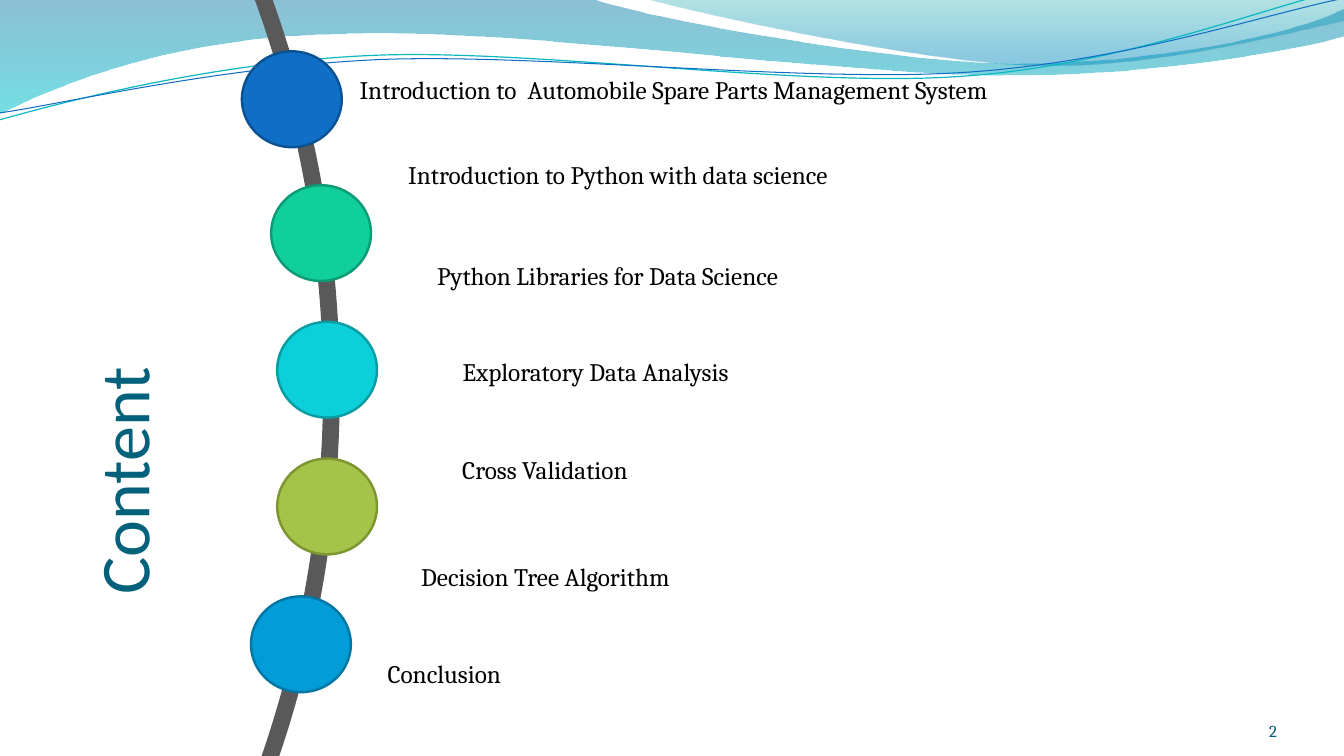
"""Build the content slide: a wave header and a timeline arc with topics."""
import pptx
import pptx.dml.color
import pptx.enum.shapes
import pptx.enum.text
import pptx.oxml
import pptx.oxml.ns
import pptx.util

Pt = pptx.util.Pt
qn = pptx.oxml.ns.qn
OVAL = pptx.enum.shapes.MSO_SHAPE.OVAL
ALIGN = pptx.enum.text.PP_ALIGN
ANCHOR = pptx.enum.text.MSO_ANCHOR
AUTO_SIZE = pptx.enum.text.MSO_AUTO_SIZE
NAMESPACE = pptx.oxml.ns.nsdecls("a")


def set_color(color_format, hex_color):
    color_format.rgb = pptx.dml.color.RGBColor.from_string(hex_color)


def add_outline(slide, start, segments, close):
    builder = slide.shapes.build_freeform(Pt(start[0]), Pt(start[1]))
    vertices = [(Pt(x), Pt(y)) for segment in segments for x, y in segment]
    builder.add_line_segments(vertices, close=close)
    shape = builder.convert_to_shape()
    shape.shadow.inherit = False
    steps = iter(list(shape._element.iter(qn("a:lnTo"))))
    for segment in segments:
        corners = [next(steps) for point in segment]
        if len(corners) == 3:
            curve = pptx.oxml.parse_xml(f"<a:cubicBezTo {NAMESPACE}/>")
            corners[0].addprevious(curve)
            for corner in corners:
                curve.append(corner[0])
                corner.getparent().remove(corner)
    return shape


presentation = pptx.Presentation()
presentation.slide_width = Pt(960)
presentation.slide_height = Pt(540)
slide = presentation.slides.add_slide(presentation.slide_layouts[5])

waves = [
    ((-0.4, -0.4),
     [[(422.6, -0.7)],
      [(456.5, 12.2), (637.2, 45.4), (727.9, 45.4)],
      [(819.4, 45.4), (920.2, 26.6), (960, 6.5)],
      [(961, 25.9)],
      [(943.9, 31.7), (835.2, 54.7), (715.7, 54)],
      [(596.9, 54), (366.5, 20.2), (247, 24.5)],
      [(123.8, 25.9), (43.9, 59.8), (-0.7, 81.4)]],
     [(0, "0074A1", 45), (1, "00C6CF", 55)]),
    ((460, -0.7),
     [[(488.9, 7.9), (654.5, 44.6), (738, 46.8)],
      [(821.5, 49.7), (923, 23), (960, 15.1)],
      [(960, 0)]],
     [(0, "00A1A9", 30), (0.8, "008BBF", 45)]),
]
for start, segments, stops in waves:
    wave = add_outline(slide, start, segments, True)
    wave.line.fill.background()
    wave.fill.gradient()
    wave.fill.gradient_angle = 270
    for stop, (position, color, opacity) in zip(wave.fill.gradient_stops, stops):
        stop.position = position
        set_color(stop.color, color)
    color_elements = wave._element.iter(qn("a:srgbClr"))
    for element, (position, color, opacity) in zip(color_elements, stops):
        element.append(pptx.oxml.parse_xml(f'<a:alpha {NAMESPACE} val="{opacity * 1000}"/>'))

ripples = [
    ((-0.7, 85.7),
     [[(46.1, 72.7), (151.9, 44.6), (265.7, 39.6)],
      [(379.4, 34.6), (568.8, 62.6), (684, 54.7)],
      [(799.2, 47.5), (901.4, 5.8), (958.3, -7.2)]],
     "0AB8BF", 0.85),
    ((0, 80.6),
     [[(45.4, 74.2), (157, 47.5), (272.2, 42.5)],
      [(386.6, 38.2), (573.1, 59), (687.6, 51.8)],
      [(802.8, 44.6), (903.6, 10.1), (960.5, -1.4)]],
     "0F6FC6", 0.75),
]
for start, segments, color, width in ripples:
    ripple = add_outline(slide, start, segments, False)
    ripple.fill.background()
    set_color(ripple.line.color, color)
    ripple.line.width = Pt(width)

title = slide.shapes.title
title.left, title.top, title.width, title.height = Pt(-154.8), Pt(153.4), Pt(438.5), Pt(104.4)
title.rotation = 270
title_frame = title.text_frame
title_frame.text = "Content"
title_frame.auto_size = AUTO_SIZE.NONE
title_frame.vertical_anchor = ANCHOR.BOTTOM
title_frame.margin_left = title_frame.margin_right = title_frame.margin_bottom = 0
title_frame.margin_top = Pt(3.6)
title_frame.paragraphs[0].alignment = ALIGN.LEFT
title_font = title_frame.paragraphs[0].runs[0].font
title_font.name = "Calibri"
title_font.size = Pt(50)
set_color(title_font.color, "04617B")

arc = (-1395.4, -539.3, 1632.2, 1632.2, None, "595959", 12)
circles = [
    (172.8, 36.7, "0F6FC6", "0B5292"),
    (193.7, 132.3, "10CF9B", "0C9B74"),
    (198, 229.9, "0BD0D9", "089CA3"),
    (198, 327.6, "A5C249", "7E9632"),
    (179.3, 426, "009DD9", "0076A3"),
]
ovals = [arc] + [(left, top, 71.3, 68.4, fill, line, 1.75)
                 for left, top, fill, line in circles]
for left, top, width, height, fill, line, line_width in ovals:
    oval = slide.shapes.add_shape(OVAL, Pt(left), Pt(top), Pt(width), Pt(height))
    oval.shadow.inherit = False
    set_color(oval.line.color, line)
    oval.line.width = Pt(line_width)
    if fill:
        oval.fill.solid()
        set_color(oval.fill.fore_color, fill)
    else:
        oval.fill.background()

topics = [
    ("Introduction to  Automobile Spare Parts Management System", 249.8, 49.7, 498.2, 28.8),
    (" Introduction to Python with data science", 280.6, 110.2, 436.3, 28.8),
    ("Python Libraries for Data Science", 305.1, 182.2, 463, 28.8),
    ("Exploratory Data Analysis", 323.3, 250.9, 553.7, 28.8),
    ("Cross Validation", 323.1, 320.7, 326.9, 51.1),
    ("Decision Tree Algorithm", 293.8, 397.4, 442.1, 28.8),
    ("Conclusion", 269.8, 466.6, 442.1, 28.8),
]
for text, left, top, width, height in topics:
    topic = slide.shapes.add_textbox(Pt(left), Pt(top), Pt(width), Pt(height))
    topic.text_frame.word_wrap = True
    topic.text_frame.auto_size = AUTO_SIZE.SHAPE_TO_FIT_TEXT
    topic.text_frame.text = text
    topic_font = topic.text_frame.paragraphs[0].runs[0].font
    topic_font.name = "Cambria"
    topic_font.size = Pt(18)
    set_color(topic_font.color, "000000")

number = slide.shapes.add_textbox(Pt(832.3), Pt(500.4), Pt(79.9), Pt(28.8))
number_frame = number.text_frame
number_frame.word_wrap = True
number_frame.text = "2"
number_frame.vertical_anchor = ANCHOR.BOTTOM
number_frame.margin_left = number_frame.margin_right = 0
number_frame.margin_top = number_frame.margin_bottom = 0
number_frame.paragraphs[0].alignment = ALIGN.RIGHT
number_font = number_frame.paragraphs[0].runs[0].font
number_font.name = "Cambria"
number_font.size = Pt(12)
set_color(number_font.color, "045D75")

presentation.save("out.pptx")
